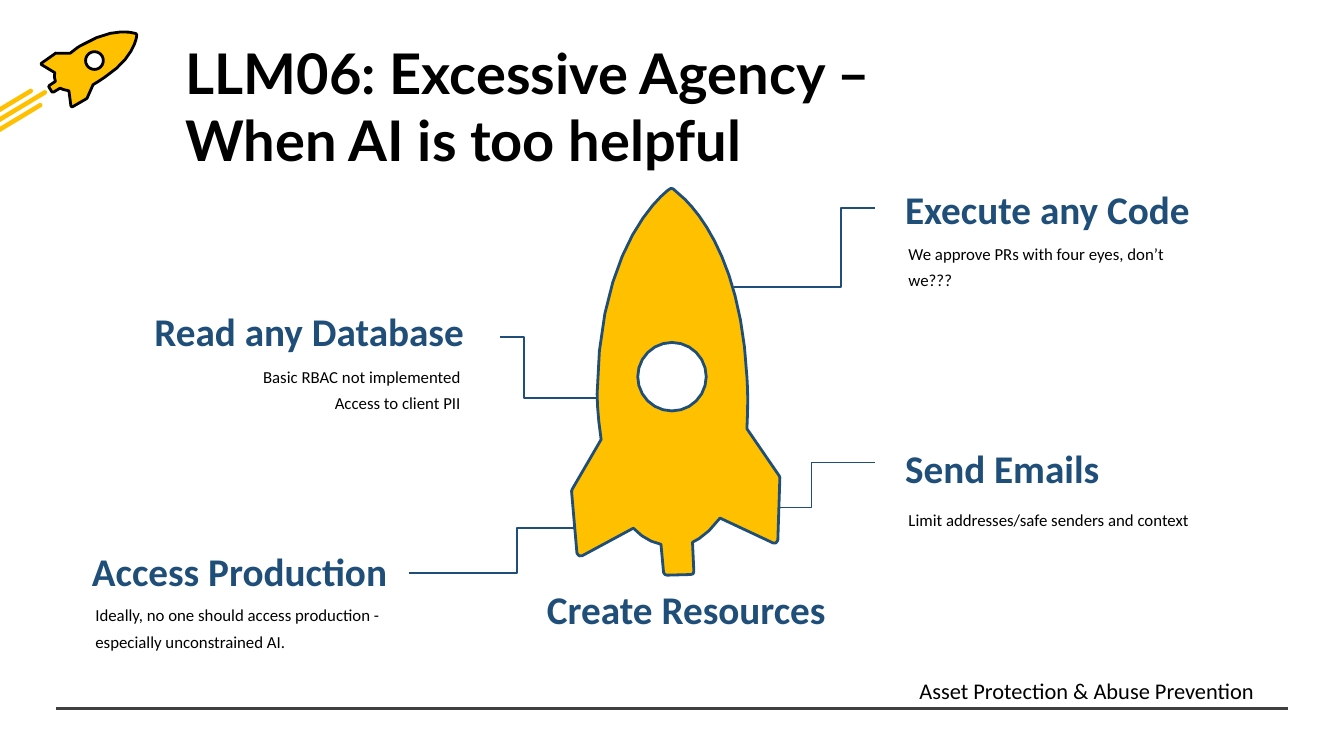
from math import cos, dist, pi, radians, sin

from lxml import etree
from pptx import Presentation
from pptx.dml.color import RGBColor
from pptx.enum.shapes import MSO_CONNECTOR
from pptx.enum.text import MSO_AUTO_SIZE, PP_ALIGN
from pptx.oxml.ns import qn
from pptx.util import Pt

LEFT, RIGHT = PP_ALIGN.LEFT, PP_ALIGN.RIGHT
STRAIGHT = MSO_CONNECTOR.STRAIGHT
GROW = MSO_AUTO_SIZE.SHAPE_TO_FIT_TEXT

BLACK = RGBColor(0x00, 0x00, 0x00)
NAVY = RGBColor(0x1F, 0x4E, 0x79)
AMBER = RGBColor(0xFF, 0xC0, 0x00)
GRAY = RGBColor(0x40, 0x40, 0x40)

CIRCLE_STEPS = 24

LARGE_ROCKET = [
    (31.7, 269.3), (0.7, 322.6), (0, 324.7), (5.8, 391), (7.2, 393.1),
    (8.6, 394), (11.5, 393.8), (66.2, 364.3),
    (74.9, 373.7, 85, 379.4, 95.8, 381.6), (98.6, 411.8),
    (98.6, 413.3, 100.8, 414.7, 102.2, 414.7), (127.4, 414), (130.3, 413.3),
    (131, 410.4), (129.6, 379.4), (134.6, 377.3, 146.9, 370.1, 159.1, 353.5),
    (216, 380.2), (218.9, 380.2), (221, 377.3), (223.2, 310.3),
    (222.5, 308.2), (187.9, 257.8),
    (188.6, 240.5, 189.4, 221.8, 187.9, 202.3),
    (182.2, 89.3, 144, 34.6, 121.7, 12.2),
    (113.8, 4.3, 108.7, 1.4, 108.7, 0.7),
    (107.3, 0, 105.8, 0, 104.4, 1.4),
    (101.5, 3.6, 28.8, 56.2, 27.4, 220.3),
    (27.4, 220.3, 27.4, 241.9, 31.7, 269.3),
]
LARGE_WINDOW = (107.6, 202, 36.7)
LARGE_TURN = (315.4, 101.2, 240.5)

SMALL_ROCKET = [
    (31, 24.5), (15.1, 24.5), (14.4, 25.2), (0, 35.3), (0, 36.7),
    (14.4, 45.4), (13.7, 48.2, 13.7, 51.8, 15.1, 54.7), (8.6, 59),
    (7.9, 60.5), (11.5, 66.2), (13, 66.2), (20.2, 61.9),
    (20.9, 62.6, 24.5, 64.1, 29.5, 64.8), (31.7, 81.4), (33.1, 82.1),
    (48.2, 73.4), (49, 72.7), (55.4, 58.3),
    (59, 56.2, 63.4, 53.3, 67.7, 50.4),
    (92.9, 33.8, 99.4, 17.3, 101.5, 9.4),
    (102.2, 6.5, 102.2, 5, 102.2, 5), (101.5, 3.6),
    (100.8, 3.6, 79.2, -5.8, 41.8, 16.6),
    (41.8, 16.6, 36.7, 19.4, 31, 24.5),
]
SMALL_WINDOW = (56.9, 32.4, 9.5)
SMALL_TURN = (13.9, 47.5, 36)

STREAK = [(139.7, 4.3), (3.6, 86.4), (1.4, 85.7), (0, 84.2), (0.7, 82.1),
          (137.5, 0), (139.7, 0.7), (140.4, 2.2)]
STREAK_ORIGINS = [(-90, 96.5), (-95, 110.2), (-105.1, 95)]
STREAK_TURN = (13.9, 70.2, 42.8)


def flatten(steps):
    """Turn corner points and cubic curve steps into a list of points."""
    points = []
    for step in steps:
        if len(step) == 2:
            points.append(step)
            continue
        x0, y0 = points[-1]
        x1, y1, x2, y2, x3, y3 = step
        count = max(2, min(10, int(dist((x0, y0), (x3, y3)) / 10)))
        for index in range(1, count + 1):
            t = index / count
            a, b, c, d = (1 - t) ** 3, 3 * t * (1 - t) ** 2, 3 * t * t * (1 - t), t ** 3
            points.append((a * x0 + b * x1 + c * x2 + d * x3,
                           a * y0 + b * y1 + c * y2 + d * y3))
    return points


def circle(center_x, center_y, radius):
    """Return the points of a circle."""
    angles = [2 * pi * index / CIRCLE_STEPS for index in range(CIRCLE_STEPS)]
    return [(center_x + radius * cos(a), center_y + radius * sin(a)) for a in angles]


def turn_back(point, turn):
    """Undo a clockwise turn in degrees about a pivot."""
    degrees, pivot_x, pivot_y = turn
    angle = radians(degrees)
    x, y = point[0] - pivot_x, point[1] - pivot_y
    return (pivot_x + x * cos(angle) + y * sin(angle),
            pivot_y - x * sin(angle) + y * cos(angle))


def add_outline(slide, origin, contours, fill=None, line=None, width=0,
                close=True, turn=(0, 0, 0)):
    """Draw one freeform from contours placed relative to an origin."""
    left, top = origin
    builder = None
    for contour in contours:
        turned = [turn_back(point, turn) for point in contour]
        points = [(Pt(left + x), Pt(top + y)) for x, y in turned]
        if builder is None:
            builder = slide.shapes.build_freeform(*points[0])
        else:
            builder.move_to(*points[0])
        builder.add_line_segments(points[1:], close=close)
    shape = builder.convert_to_shape()
    shape.rotation = turn[0]
    shape.shadow.inherit = False
    if fill is None:
        shape.fill.background()
    else:
        shape.fill.solid()
        shape.fill.fore_color.rgb = fill
    if line is None:
        shape.line.fill.background()
    else:
        shape.line.color.rgb = line
        shape.line.width = Pt(width)


def add_text(slide, box, text, size, color=BLACK, font="Calibri", bold=False,
             align=LEFT, wrap=False, spacing=None):
    """Add a text box with uniform formatting."""
    shape = slide.shapes.add_textbox(*[Pt(length) for length in box])
    frame = shape.text_frame
    frame.word_wrap = wrap
    frame.auto_size = GROW
    if wrap:
        frame.margin_left = frame.margin_right = Pt(10.8)
        frame.margin_top = frame.margin_bottom = Pt(5.4)
    frame.text = text
    for paragraph in frame.paragraphs:
        paragraph.alignment = align
        if spacing:
            paragraph.line_spacing = spacing
        for run in paragraph.runs:
            run.font.name = font
            run.font.size = Pt(size)
            run.font.bold = bold
            run.font.color.rgb = color


def add_rocket(slide, origin, body, window, line, turn):
    """Draw a rocket with a round see-through window."""
    add_outline(slide, origin, [flatten(body), circle(*window)], AMBER, line, 3, turn=turn)


def add_header(slide, box):
    """Place the flying rocket, its streaks and the title."""
    left, top, width, height = box
    add_rocket(slide, (left + 43.9, top + 32.4), SMALL_ROCKET, SMALL_WINDOW,
               BLACK, SMALL_TURN)
    for x, y in STREAK_ORIGINS:
        add_outline(slide, (left + x, top + y), [STREAK], AMBER, turn=STREAK_TURN)
    add_text(slide, (left + 187.9, top + 36, width - 330.5, height - 36),
             "LLM06: Excessive Agency –\nWhen AI is too helpful", 60,
             font="Lato", bold=True, wrap=True)


def add_callout(slide, box, heading, body="", body_top=0, body_height=0,
                leader=None, align=LEFT):
    """Place a heading, its explanation below and an elbow leader line."""
    left, top, width = box
    add_text(slide, (left, top, width, 58.2), heading, 42, NAVY, bold=True, align=align)
    if body:
        body_left = left + width - 334.8 if align == RIGHT else left
        add_text(slide, (body_left, top + body_top, 334.8, body_height), body, 18,
                 align=align, wrap=True, spacing=1.3)
    if leader:
        x1, y1, bend, x2, y2 = leader
        elbow = [(x1, y1), (bend, y1), (bend, y2), (x2, y2)]
        add_outline(slide, (left, top), [elbow], line=NAVY, width=1.75, close=False)


def add_footer(slide, box):
    """Place the footer text above a full-width rule."""
    left, top, width, height = box
    add_text(slide, (left + 918, top, 415, 36), "Asset Protection & Abuse Prevention", 24)
    rule = slide.shapes.add_connector(STRAIGHT, Pt(left), Pt(top + height),
                                      Pt(left + width), Pt(top + height))
    rule.line.color.rgb = GRAY
    rule.line.width = Pt(3)
    etree.SubElement(rule._element.spPr, qn("a:effectLst"))


def main():
    """Build the slide and save it."""
    presentation = Presentation()
    presentation.slide_width, presentation.slide_height = Pt(1440), Pt(810)
    slide = presentation.slides.add_slide(presentation.slide_layouts[6])
    add_header(slide, (0, 0, 1440, 192))
    add_callout(slide, (962.6, 194.8, 322.6), "Execute any Code",
                "We approve PRs with four eyes, don’t we???", 54.4, 65.5,
                (-25.2, 28, -61.6, -175.7, 112.7))
    add_callout(slide, (962.6, 472.4, 224.6), "Send Emails",
                "Limit addresses/safe senders and context", 61.5, 37.4,
                (-25.2, 23.2, -93, -210.2, 71.2))
    add_callout(slide, (155, 326.2, 349.2), "Read any Database",
                "Basic RBAC not implemented\vAccess to client PII", 54.7, 93.6,
                (380.7, 35.2, 406.3, 486.8, 100.1), RIGHT)
    add_callout(slide, (91.4, 582.5, 334.8), "Access Production",
                "Ideally, no one should access production - especially unconstrained AI.",
                54, 65.5, (346.4, 31.7, 462.7, 530.7, -16.6))
    add_callout(slide, (578.9, 623.9, 316.1), "Create Resources")
    add_rocket(slide, (617, 199.4), LARGE_ROCKET, LARGE_WINDOW, NAVY, LARGE_TURN)
    add_footer(slide, (60, 721.8, 1320, 37.1))
    presentation.save("out.pptx")


if __name__ == "__main__":
    main()
